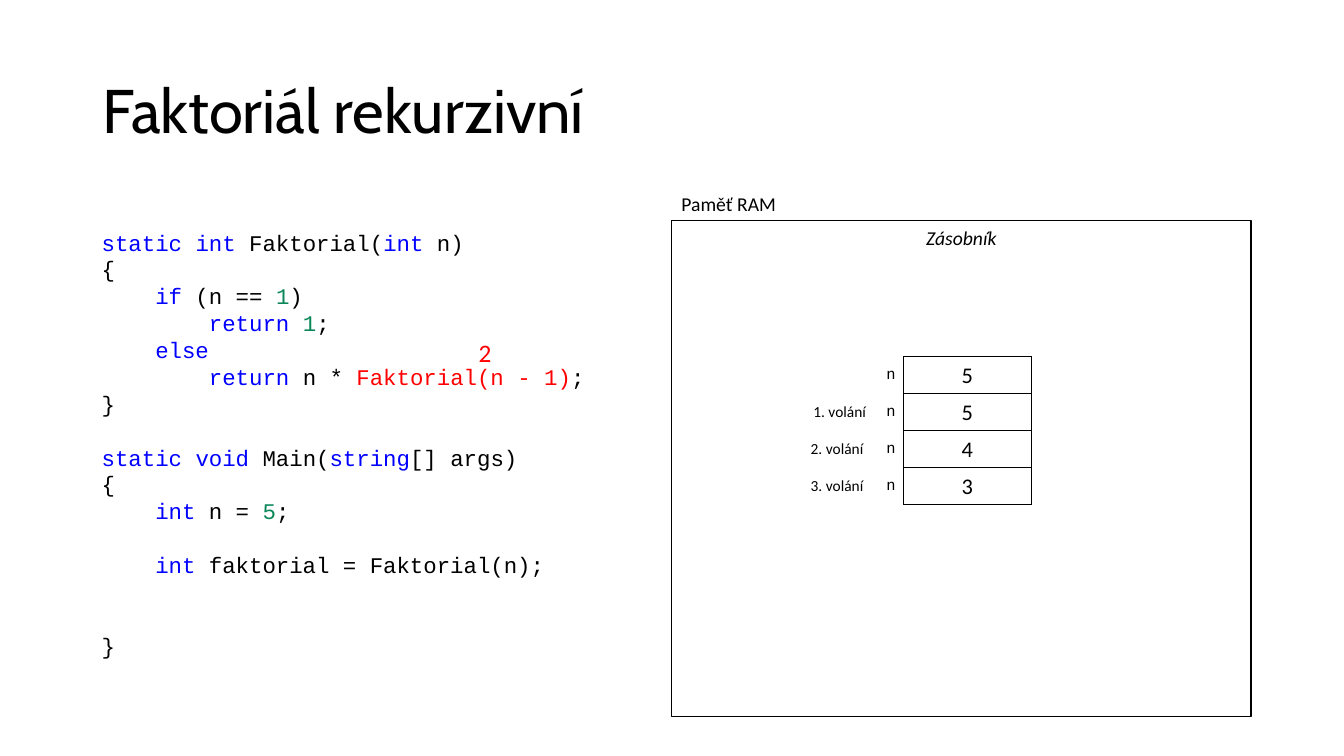
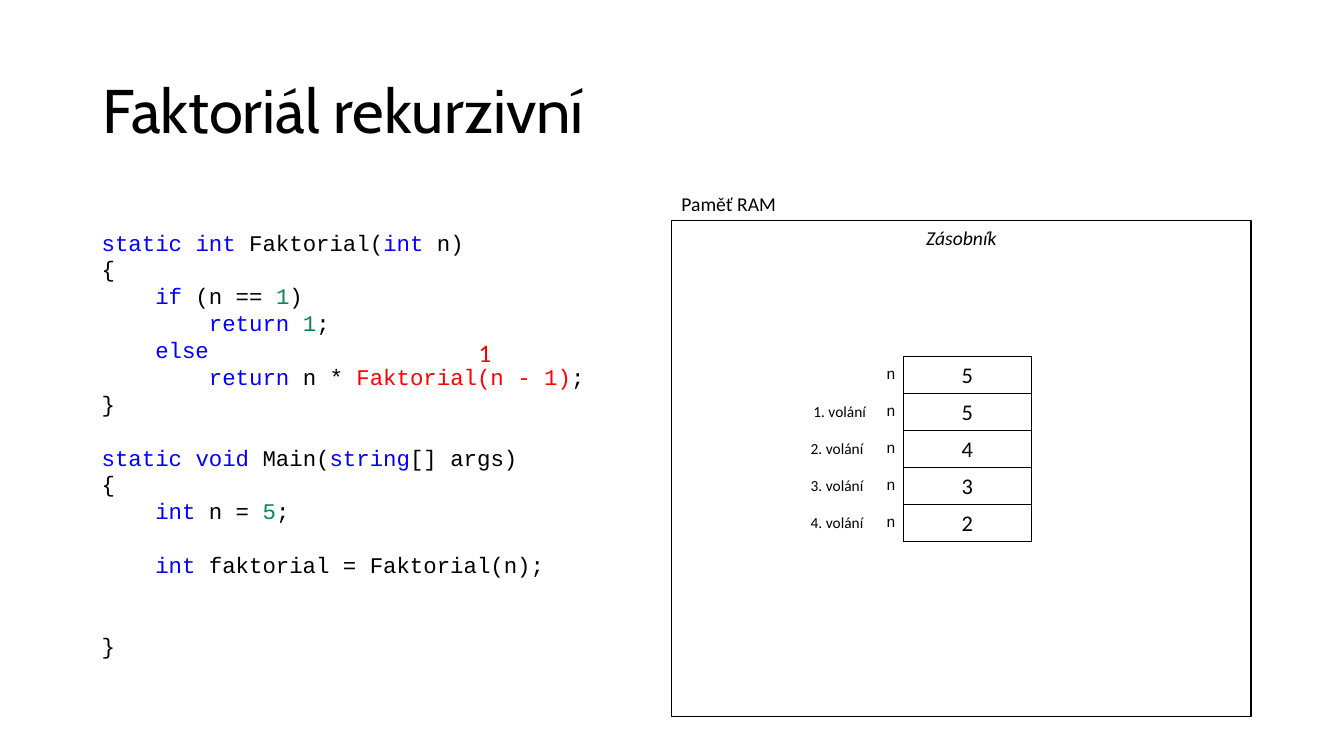
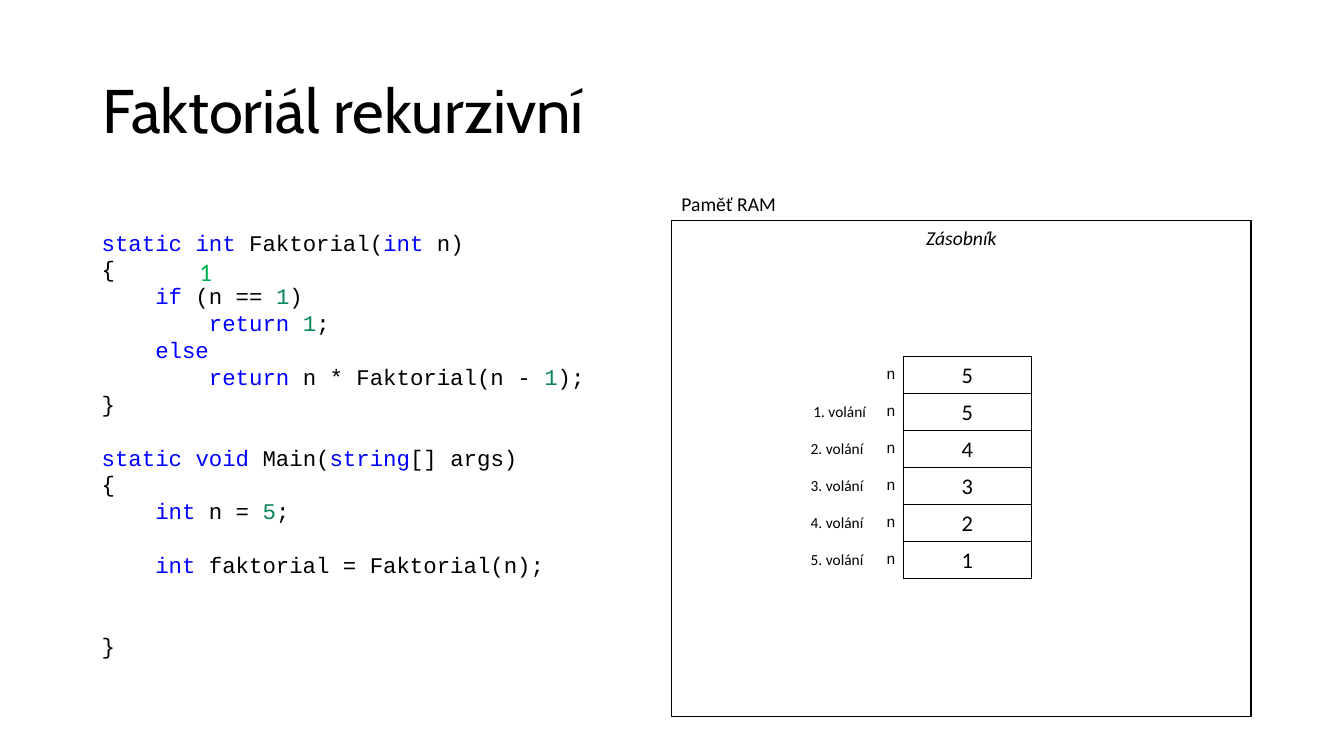
from collections import namedtuple
from itertools import groupby

from lxml import etree
from pptx import Presentation
from pptx.dml.color import RGBColor
from pptx.enum.shapes import MSO_SHAPE
from pptx.enum.text import MSO_ANCHOR, PP_ALIGN
from pptx.oxml.ns import qn
from pptx.util import Inches, Pt

RECTANGLE = MSO_SHAPE.RECTANGLE
TOP, MIDDLE = MSO_ANCHOR.TOP, MSO_ANCHOR.MIDDLE
LEFT, CENTER, RIGHT = PP_ALIGN.LEFT, PP_ALIGN.CENTER, PP_ALIGN.RIGHT

BLACK, WHITE, BLUE, RED = "000000", "FFFFFF", "0000FF", "FF0000"
NUMBER_GREEN, RESULT_GREEN = "098658", "00B050"
TITLE_FONT, BODY_FONT, CODE_FONT = "Cabin", "Calibri", "Courier New"
NO_TABLE_STYLE = "{2D5ABB26-0587-4C30-8999-92F81FD0307C}"

Box = namedtuple("Box", "left top width height")
SLIDE_WIDTH, SLIDE_HEIGHT = 13.33, 7.5
TITLE_BOX = Box(0.92, 0.4, 11.5, 1.45)
CODE_BOX = Box(0.91, 2.22, 5.75, 4.41)
MEMORY_BOX = Box(6.66, 2.19, 5.75, 4.92)
CAPTION_HEIGHT = 0.34
STACK_OFFSET = (1.28, 1.35)
STACK_COLUMNS = (0.75, 0.27, 1.27, 0.88)
STACK_ROW = 0.36

CODE_SIZE = 16
CODE_LINE = 19.2
KEYWORDS = {"static", "int", "if", "return", "else", "void", "string"}
RECURSIVE_CALL = "Faktorial(n - 1)"
CODE = """static int Faktorial(int n)
{
    if (n == 1)
        return 1;
    else
        return n * Faktorial(n - 1);
}

static void Main(string[] args)
{
    int n = 5;

    int faktorial = Faktorial(n);


}"""

Step = namedtuple("Step", "stack result result_at color call_marked")
CALL_RESULT_AT, TEST_RESULT_AT = (3.74, 1.08), (0.97, 0.27)
STEPS = (
    Step("5543", "2", CALL_RESULT_AT, RED, True),
    Step("55432", "1", CALL_RESULT_AT, RED, True),
    Step("554321", "1", TEST_RESULT_AT, RESULT_GREEN, False),
)


def rgb(value):
    return RGBColor.from_string(value)


def add_run(paragraph, text, size=14, font=BODY_FONT, color=BLACK, italic=False):
    run = paragraph.add_run()
    run.text = text
    run.font.size = Pt(size)
    run.font.name = font
    run.font.italic = italic
    run.font.color.rgb = rgb(color)


def add_frame(slide, box, anchor=TOP):
    """Add an empty wrapping text box and return its text frame."""
    frame = slide.shapes.add_textbox(*map(Inches, box)).text_frame
    frame.word_wrap = True
    frame.vertical_anchor = anchor
    return frame


def add_text(slide, box, text, anchor=TOP, align=LEFT, spacing=None, **style):
    paragraph = add_frame(slide, box, anchor).paragraphs[0]
    paragraph.alignment = align
    paragraph.line_spacing = spacing
    add_run(paragraph, text, **style)


def token_color(token):
    if token in KEYWORDS:
        return BLUE
    return NUMBER_GREEN if token.isdigit() else BLACK


def add_code_line(paragraph, line, call_marked):
    before, call, after = line.partition(RECURSIVE_CALL)
    for part in (before, call, after):
        if part == RECURSIVE_CALL and call_marked:
            tokens = [(part, RED)]
        else:
            words = ("".join(group) for _, group in groupby(part, str.isalnum))
            tokens = [(word, token_color(word)) for word in words]
        for token, color in tokens:
            add_run(paragraph, token, size=CODE_SIZE, font=CODE_FONT, color=color)


def add_code(slide, box, step):
    """Add the program; its blank lines become space before the next line."""
    frame = add_frame(slide, box)
    paragraph, blank_lines = frame.paragraphs[0], 0
    for number, line in enumerate(CODE.splitlines()):
        if not line:
            blank_lines += 1
            continue
        if number:
            paragraph = frame.add_paragraph()
            paragraph.space_before = Pt(blank_lines * CODE_LINE)
        paragraph.line_spacing = Pt(CODE_LINE)
        add_code_line(paragraph, line, step.call_marked)
        blank_lines = 0
    left, top = step.result_at
    add_text(slide, Box(box.left + left, box.top + top, 0.44, 0.4),
             step.result, size=18, color=step.color)


def add_border(cell, sides):
    properties = cell._tc.get_or_add_tcPr()
    for side in sides:
        line = etree.SubElement(properties, qn(f"a:ln{side}"), w=str(Pt(1)))
        fill = etree.SubElement(line, qn("a:solidFill"))
        etree.SubElement(fill, qn("a:srgbClr"), val=BLACK)


def fill_cell(cell, text, borders="", anchor=MIDDLE, align=LEFT, size=11, font=BODY_FONT):
    add_border(cell, borders)
    cell.fill.background()
    cell.vertical_anchor = anchor
    paragraph = cell.text_frame.paragraphs[0]
    paragraph.alignment = align
    if text:
        add_run(paragraph, text, size=size, font=font)
    else:
        etree.SubElement(paragraph._p, qn("a:endParaRPr"), sz=str(size * 100))


def add_stack(slide, left, top, values):
    """Add the call stack, one row for Main and one for each call."""
    box = Box(left, top, sum(STACK_COLUMNS), STACK_ROW * len(values))
    table = slide.shapes.add_table(
        len(values), len(STACK_COLUMNS), *map(Inches, box)).table
    table.first_row = table.horz_banding = False
    table._tbl.tblPr.find(qn("a:tableStyleId")).text = NO_TABLE_STYLE
    for column, width in zip(table.columns, STACK_COLUMNS):
        column.width = Inches(width)
    for call, (row, value) in enumerate(zip(table.rows, values)):
        row.height = Inches(STACK_ROW)
        label, name, number, margin = row.cells
        fill_cell(label, f"{call}. volání" if call else "",
                  align=RIGHT if call == 1 else LEFT)
        fill_cell(name, "n", borders="R", align=RIGHT, font=CODE_FONT)
        fill_cell(number, value, borders="LRTB", anchor=TOP, align=CENTER, size=16)
        fill_cell(margin, "", borders="L")


def add_memory(slide, box, step):
    frame = slide.shapes.add_shape(RECTANGLE, *map(Inches, box))
    frame.shadow.inherit = False
    frame.fill.solid()
    frame.fill.fore_color.rgb = rgb(WHITE)
    frame.line.color.rgb = rgb(BLACK)
    frame.line.width = Pt(1)
    caption = box._replace(height=CAPTION_HEIGHT)
    add_text(slide, caption._replace(top=box.top - CAPTION_HEIGHT), "Paměť RAM")
    add_text(slide, caption, "Zásobník", align=CENTER, italic=True)
    left, top = STACK_OFFSET
    add_stack(slide, box.left + left, box.top + top, step.stack)


def add_step_slide(presentation, step):
    slide = presentation.slides.add_slide(presentation.slide_layouts[6])
    add_text(slide, TITLE_BOX, "Faktoriál rekurzivní", anchor=MIDDLE,
             spacing=0.9, size=44, font=TITLE_FONT)
    add_memory(slide, MEMORY_BOX, step)
    add_code(slide, CODE_BOX, step)


def main():
    presentation = Presentation()
    presentation.slide_width = Inches(SLIDE_WIDTH)
    presentation.slide_height = Inches(SLIDE_HEIGHT)
    for step in STEPS:
        add_step_slide(presentation, step)
    presentation.save("out.pptx")


if __name__ == "__main__":
    main()
